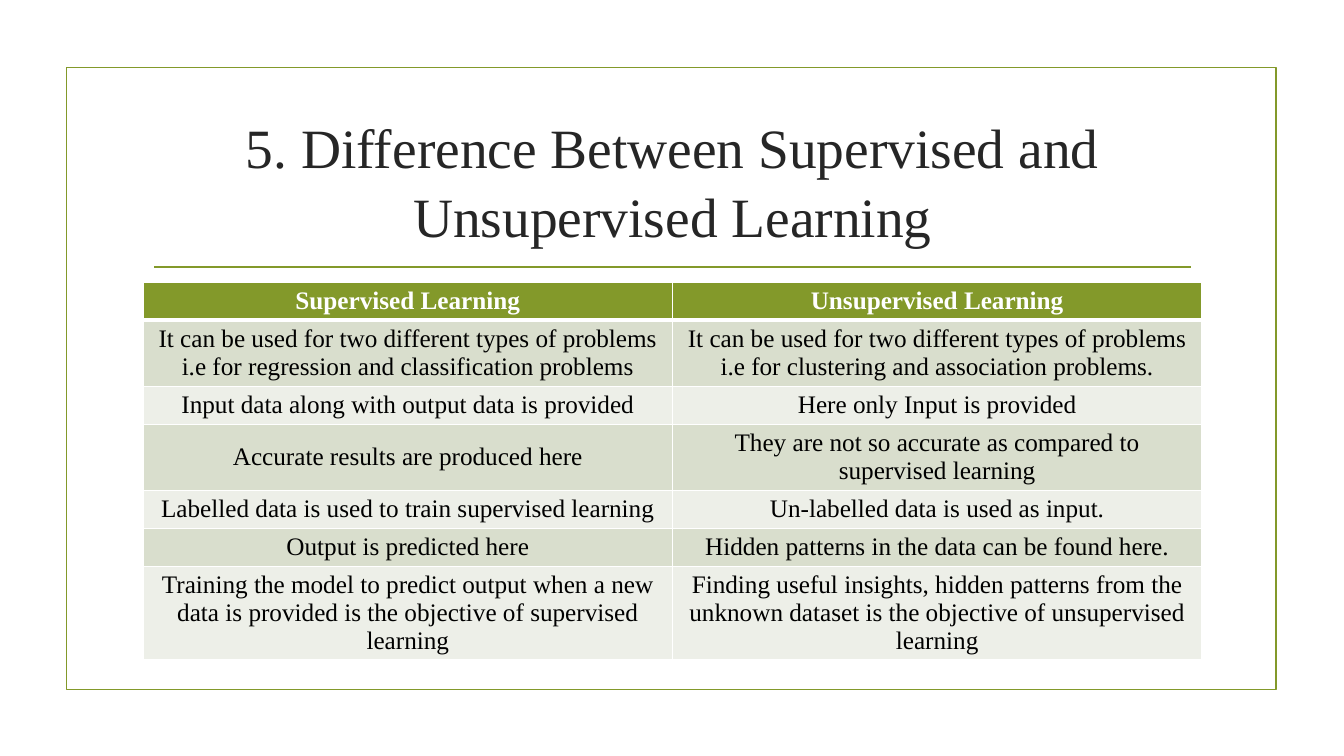
from lxml.etree import SubElement
from pptx import Presentation
from pptx.dml.color import RGBColor
from pptx.enum.shapes import MSO_CONNECTOR, MSO_SHAPE
from pptx.enum.text import MSO_ANCHOR, MSO_AUTO_SIZE, PP_ALIGN
from pptx.oxml.ns import qn
from pptx.util import Inches, Pt

FONT = "Times New Roman"
GREEN, WHITE, BLACK, CHARCOAL = "83992A", "FFFFFF", "000000", "262626"
BANDS = ("D9DECD", "EDEFE8")
ROW_HEIGHTS = (0.37, 0.64, 0.37, 0.64, 0.37, 0.37, 0.92)
COMPARISON = [
    ("Supervised Learning", "Unsupervised Learning"),
    ("It can be used for two different types of problems i.e for regression and classification problems",
     "It can be used for two different types of problems i.e for clustering and association problems."),
    ("Input data along with output data is provided", "Here only Input is provided"),
    ("Accurate results are produced here",
     "They are not so accurate as compared to supervised learning"),
    ("Labelled data is used to train supervised learning", "Un-labelled data is used as input."),
    ("Output is predicted here", "Hidden patterns in the data can be found here."),
    ("Training the model to predict output when a new data is provided is the objective of supervised learning",
     "Finding useful insights, hidden patterns from the unknown dataset is the objective of unsupervised learning"),
]


def color(value):
    return RGBColor.from_string(value)


def write(text_frame, text, size, text_color, bold=False):
    """Fill a text frame with one centred paragraph."""
    para = text_frame.paragraphs[0]
    para.alignment = PP_ALIGN.CENTER
    span = para.add_run()
    span.text = text
    span.font.name = FONT
    span.font.size = Pt(size)
    span.font.bold = bold
    span.font.color.rgb = color(text_color)
    return para


def set_borders(cell, bottom_width):
    """Draw white lines on all four sides; called before the cell is filled."""
    properties = cell._tc.get_or_add_tcPr()
    for side, width in (("L", 1), ("R", 1), ("T", 1), ("B", bottom_width)):
        line = SubElement(properties, qn(f"a:ln{side}"), w=str(Pt(width)))
        fill = SubElement(line, qn("a:solidFill"))
        SubElement(fill, qn("a:srgbClr"), val=WHITE)


def add_frame(page, left, top, width, height):
    # Border around the page
    border = page.shapes.add_shape(
        MSO_SHAPE.RECTANGLE, Inches(left), Inches(top), Inches(width), Inches(height))
    border.shadow.inherit = False
    border.fill.background()
    border.line.color.rgb = color(GREEN)
    border.line.width = Pt(1.25)

    # Rule under the title
    rule_top = Inches(top + 1.98)
    rule = page.shapes.add_connector(
        MSO_CONNECTOR.STRAIGHT, Inches(left + 0.87), rule_top,
        Inches(left + width - 0.85), rule_top)
    rule.line.color.rgb = color(GREEN)
    rule.line.width = Pt(1.25)
    SubElement(rule._element.spPr, qn("a:effectLst"))


def add_title(page, left, top, width, height):
    title = page.shapes.title
    title.left, title.top = Inches(left), Inches(top)
    title.width, title.height = Inches(width), Inches(height)
    text_frame = title.text_frame
    text_frame.word_wrap = True
    text_frame.auto_size = MSO_AUTO_SIZE.NONE
    text_frame.vertical_anchor = MSO_ANCHOR.MIDDLE
    para = write(text_frame, "5. Difference Between Supervised and Unsupervised Learning",
                 39.6, CHARCOAL)
    para.line_spacing = 1.03


def add_comparison(page, left, top, width):
    columns = len(COMPARISON[0])
    table = page.shapes.add_table(
        len(COMPARISON), columns, Inches(left), Inches(top),
        Inches(width), Inches(sum(ROW_HEIGHTS))).table
    for column in table.columns:
        column.width = Inches(width / columns)
    for index, (texts, height) in enumerate(zip(COMPARISON, ROW_HEIGHTS)):
        table.rows[index].height = Inches(height)
        header = index == 0
        for position, text in enumerate(texts):
            cell = table.cell(index, position)
            set_borders(cell, 3 if header else 1)
            cell.fill.solid()
            cell.fill.fore_color.rgb = color(GREEN if header else BANDS[(index - 1) % 2])
            cell.vertical_anchor = MSO_ANCHOR.MIDDLE
            write(cell.text_frame, text, 18, WHITE if header else BLACK, header)


def main():
    deck = Presentation()
    deck.slide_width, deck.slide_height = Inches(13.33), Inches(7.5)
    page = deck.slides.add_slide(deck.slide_layouts[5])
    page.background.fill.solid()
    page.background.fill.fore_color.rgb = color(WHITE)
    add_frame(page, 0.66, 0.67, 12, 6.17)
    add_title(page, 1.42, 1.07, 10.5, 1.43)
    add_comparison(page, 1.42, 2.8, 10.5)
    deck.save("out.pptx")


if __name__ == "__main__":
    main()
